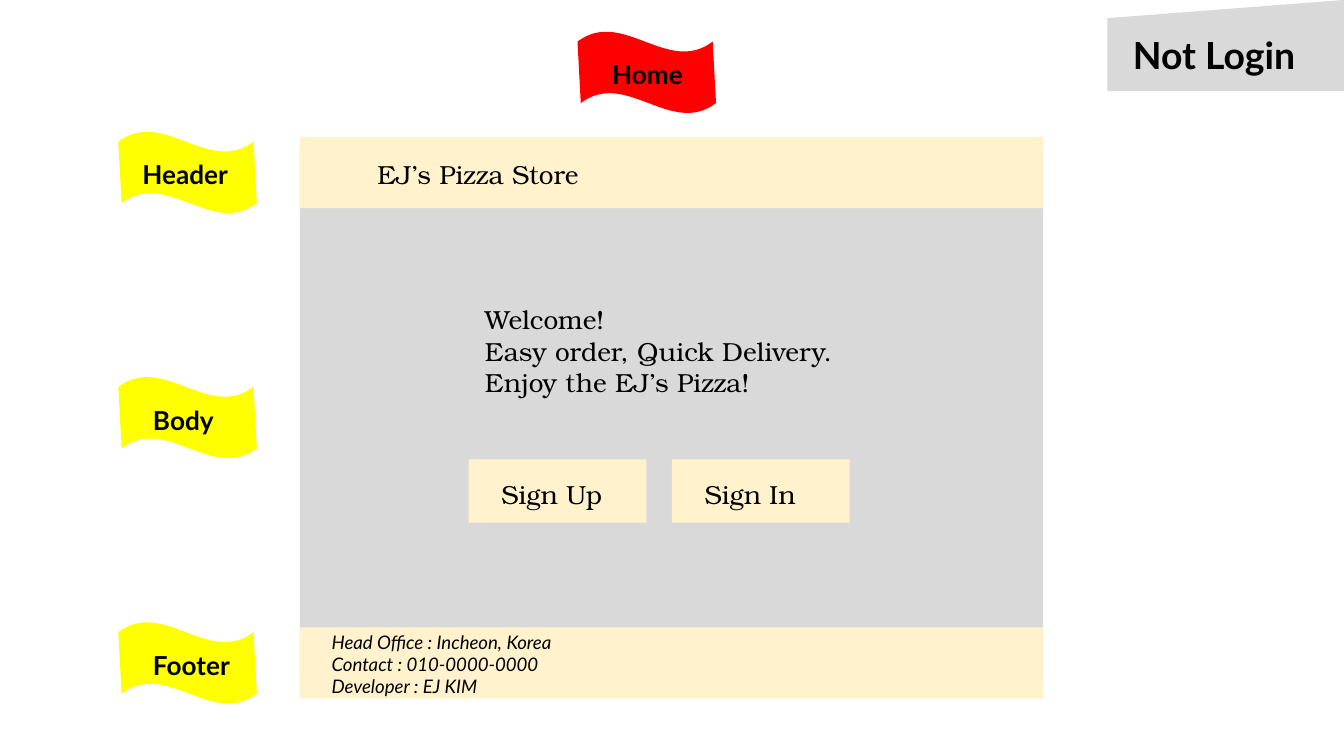
"""Build the home page wireframe of a pizza store."""
from dataclasses import dataclass

from pptx import Presentation
from pptx.dml.color import RGBColor
from pptx.enum.shapes import MSO_SHAPE
from pptx.enum.text import MSO_ANCHOR, PP_ALIGN
from pptx.slide import Slide
from pptx.util import Pt

COLORS = {
    "panel": "D9D9D9",
    "cream": "FFF2CC",
    "yellow": "FFFF00",
    "red": "FF0000",
    "ink": "000000",
}
FONTS = {
    "store": {"name": "TeX Gyre Bonum", "size": Pt(14)},
    "flag": {"name": "Lato", "size": Pt(14), "bold": True},
    "status": {"name": "Lato", "size": Pt(20), "bold": True},
    "footer": {"name": "Lato", "size": Pt(10), "italic": True},
}
FRAME = {
    "word_wrap": True,
    "vertical_anchor": MSO_ANCHOR.TOP,
    "margin_left": Pt(7.2),
    "margin_top": Pt(7.2),
    "margin_right": Pt(7.2),
    "margin_bottom": Pt(7.2),
}


@dataclass(frozen=True)
class Area:
    left: float
    top: float
    width: float
    height: float

    def lengths(self) -> tuple[Pt, Pt, Pt, Pt]:
        return Pt(self.left), Pt(self.top), Pt(self.width), Pt(self.height)


@dataclass(frozen=True)
class Flag:
    label: str
    left: float
    top: float
    indent: float
    color: str


def set_values(target: object, values: dict[str, object]) -> None:
    for name, value in values.items():
        setattr(target, name, value)


def draw_shape(page: Slide, kind: MSO_SHAPE, area: Area, color: str,
               adjustments: tuple[float, ...] = ()) -> None:
    shape = page.shapes.add_shape(kind, *area.lengths())
    shape.shadow.inherit = False
    shape.fill.solid()
    shape.fill.fore_color.rgb = RGBColor.from_string(COLORS[color])
    shape.line.fill.background()
    for index, value in enumerate(adjustments):
        shape.adjustments[index] = value


def draw_text(page: Slide, area: Area, font: str, *lines: str) -> None:
    frame = page.shapes.add_textbox(*area.lengths()).text_frame
    set_values(frame, FRAME)
    for index, line in enumerate(lines):
        para = frame.add_paragraph() if index else frame.paragraphs[0]
        para.alignment = PP_ALIGN.LEFT
        span = para.add_run()
        span.text = line
        set_values(span.font, FONTS[font])
        span.font.color.rgb = RGBColor.from_string(COLORS["ink"])


def draw_flag(page: Slide, flag: Flag) -> None:
    area = Area(flag.left, flag.top, 74.2, 43.9)
    draw_shape(page, MSO_SHAPE.WAVE, area, flag.color, (0.125, 0.012))
    label = Area(flag.left + flag.indent, flag.top + 7.5, 62.6, 28.1)
    draw_text(page, label, "flag", flag.label)


def draw_store_page(page: Slide) -> None:
    left, width, band = 160.6, 398.2, 38.2
    draw_shape(page, MSO_SHAPE.RECTANGLE, Area(left, 82.1, width, 280.8), "panel")
    for top in (73.4, 336.1):
        draw_shape(page, MSO_SHAPE.RECTANGLE, Area(left, top, width, band), "cream")
    draw_text(page, Area(195.1, 77.8, 134.6, 28.1), "store", "EJ’s Pizza Store")
    draw_text(page, Area(252.7, 155.5, 214.6, 61.9), "store",
              "Welcome!", "Easy order, Quick Delivery.", "Enjoy the EJ’s Pizza!")
    for index, label in enumerate(("Sign Up", "Sign In")):
        button = 251.1 + index * 108.9
        draw_shape(page, MSO_SHAPE.RECTANGLE, Area(button, 246.2, 95.2, 33.8), "cream")
        draw_text(page, Area(button + 10.4, 249.1, 74.2, 28.1), "store", label)
    draw_text(page, Area(170.6, 330.5, 199.4, 43.9), "footer",
              "Head Office : Incheon, Korea", "Contact : 010-0000-0000",
              "Developer : EJ KIM")


def main() -> None:
    deck = Presentation()
    deck.slide_width, deck.slide_height = Pt(720), Pt(405)
    page = deck.slides.add_slide(deck.slide_layouts[6])
    draw_store_page(page)
    sections = (("Header", 5.8), ("Body", 11.5), ("Footer", 11.5))
    for index, (label, indent) in enumerate(sections):
        draw_flag(page, Flag(label, 63.4, 70.4 + index * 131.4, indent, "yellow"))
    draw_flag(page, Flag("Home", 309.4, 16.8, 11.5, "red"))
    draw_shape(page, MSO_SHAPE.FLOWCHART_MANUAL_INPUT,
               Area(593.3, 0, 126.7, 48.8), "panel")
    draw_text(page, Area(599.8, 10.1, 120.2, 28.1), "status", "Not Login")
    deck.save("out.pptx")


if __name__ == "__main__":
    main()
